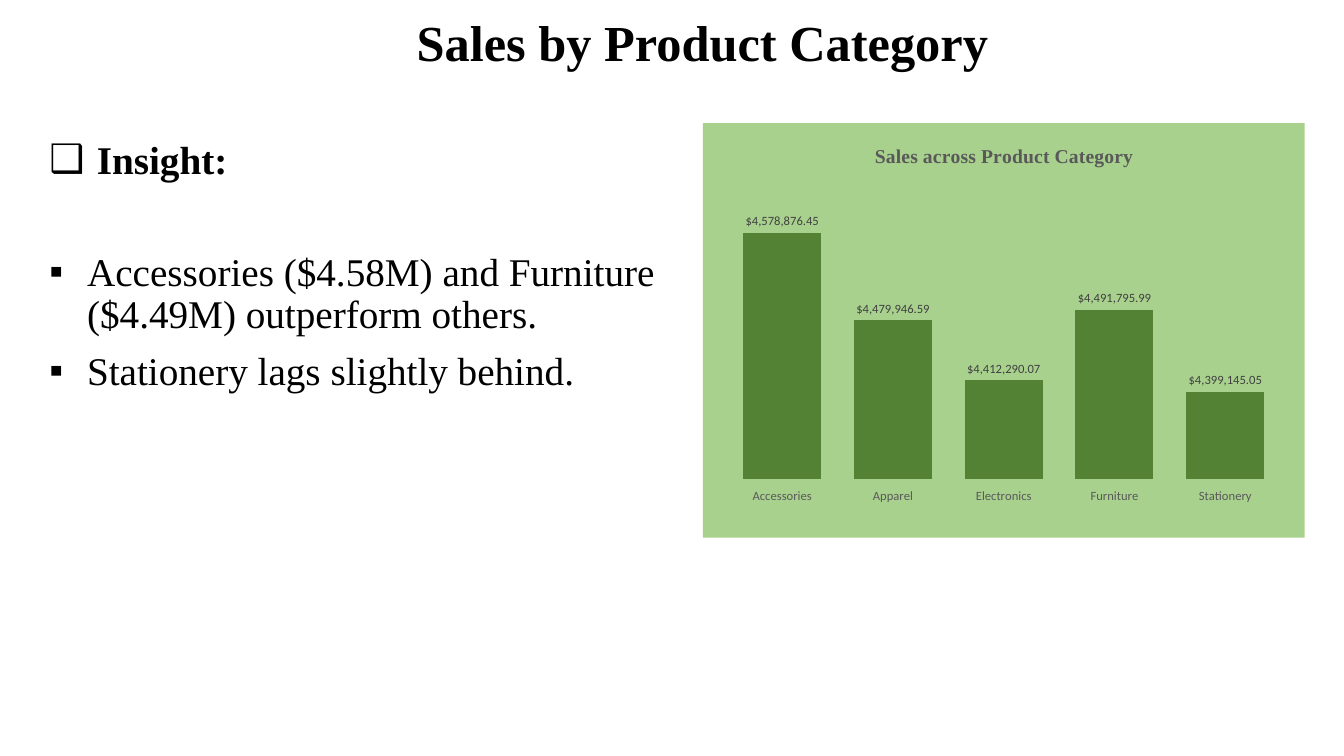
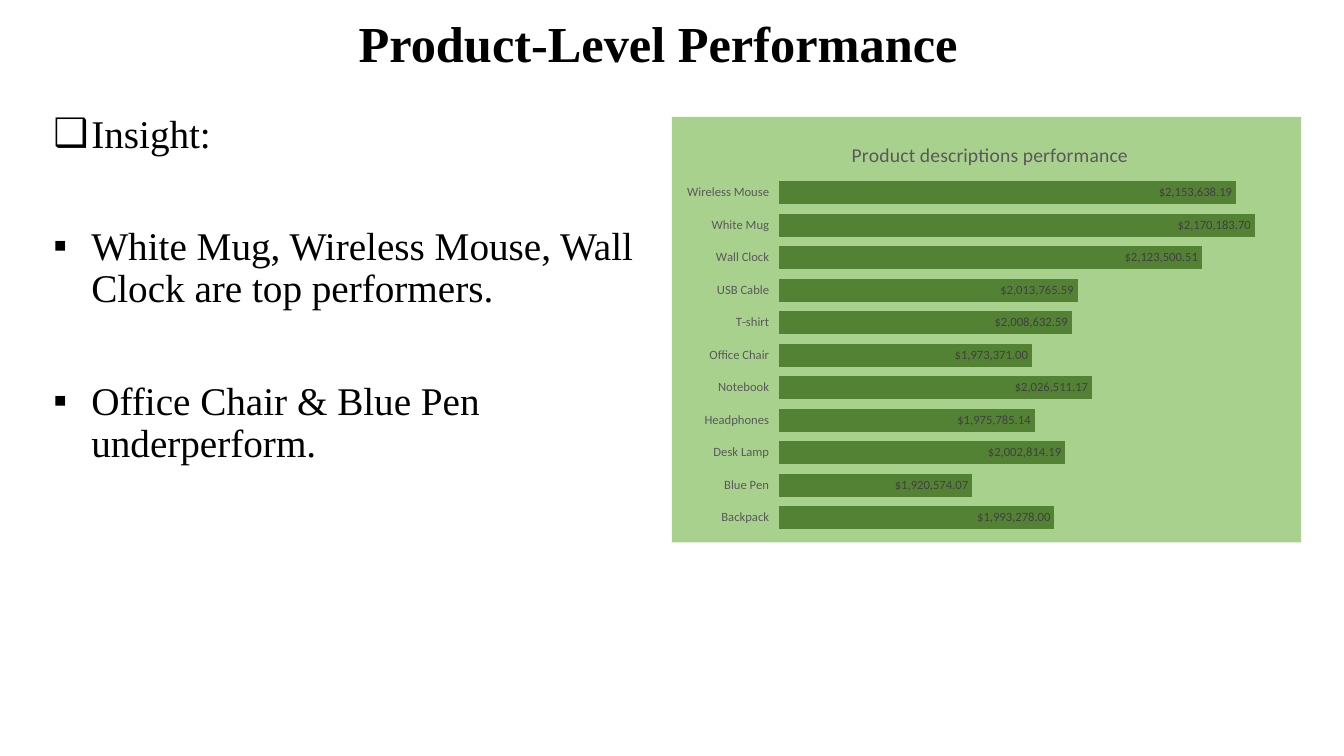
from dataclasses import dataclass

from lxml import etree
from pptx import Presentation
from pptx.chart.data import CategoryChartData
from pptx.dml.color import RGBColor
from pptx.enum.chart import XL_CHART_TYPE, XL_LABEL_POSITION, XL_TICK_MARK
from pptx.enum.text import MSO_ANCHOR, MSO_AUTO_SIZE, PP_ALIGN
from pptx.oxml import parse_xml
from pptx.oxml.ns import nsdecls, qn
from pptx.util import Pt

COLUMNS = XL_CHART_TYPE.COLUMN_CLUSTERED
BARS = XL_CHART_TYPE.BAR_CLUSTERED
OUTSIDE = XL_LABEL_POSITION.OUTSIDE_END
INSIDE = XL_LABEL_POSITION.INSIDE_END
TICK_OUT = XL_TICK_MARK.OUTSIDE
CENTER, LEFT = PP_ALIGN.CENTER, PP_ALIGN.LEFT
TOP, BOTTOM = MSO_ANCHOR.TOP, MSO_ANCHOR.BOTTOM
NO_FIT = MSO_AUTO_SIZE.NONE

HEADING_MARK, POINT_MARK = "❑", "▪"
DOLLARS = '"$"#,##0.00'


@dataclass(frozen=True)
class Theme:
    """Colours, fonts, type sizes and spacing shared by the slides."""

    ink: str = "000000"
    panel: str = "A9D18E"
    bar: str = "548235"
    muted: str = "595959"
    label: str = "404040"
    serif: str = "Times New Roman"
    sans: str = "Calibri"
    title_size: int = 36
    body_size: int = 28
    chart_title_size: int = 14
    chart_size: int = 10
    label_size: int = 9
    line_spacing: float = 0.9
    gap: int = 10
    wide_gap: int = 50
    indent: int = 27
    bar_gap: int = 42


def style_font(font, name, size, color, bold=False):
    """Apply a typeface, size, colour and weight."""
    font.name = name
    font.size = Pt(size)
    font.color.rgb = RGBColor.from_string(color)
    font.bold = bold


def set_layout(parent, inner=False, **fractions):
    """Place a chart part by fractions of the chart area."""
    layout = parent.find(qn("c:layout"))
    if layout is None:
        layout = etree.Element(qn("c:layout"))
        parent.insert(0, layout)
    manual = etree.SubElement(layout, qn("c:manualLayout"))
    settings = {"layoutTarget": "inner"} if inner else {}
    settings.update(xMode="edge", yMode="edge", **fractions)
    for name, value in settings.items():
        etree.SubElement(manual, qn(f"c:{name}")).set("val", str(value))


class InsightDeck:
    """Build slides that pair a list of insights with a chart."""

    def __init__(self, theme):
        """Start an empty widescreen deck."""
        self.theme = theme
        self.deck = Presentation()
        self.deck.slide_width, self.deck.slide_height = Pt(960), Pt(540)
        self.page = None

    def add_page(self):
        """Start a new slide."""
        self.page = self.deck.slides.add_slide(self.deck.slide_layouts[0])

    def place(self, box, frame, anchor):
        """Move a placeholder and return its text frame."""
        box.left, box.top, box.width, box.height = map(Pt, frame)
        text = box.text_frame
        text.word_wrap = True
        text.auto_size = NO_FIT
        text.vertical_anchor = anchor
        return text

    def style_paragraph(self, para, size, align, bold):
        """Format a paragraph and its runs."""
        para.alignment = align
        para.line_spacing = self.theme.line_spacing
        for span in para.runs:
            style_font(span.font, self.theme.serif, size, self.theme.ink, bold)

    def add_title(self, words, frame):
        """Fill the title placeholder."""
        text = self.place(self.page.shapes.title, frame, BOTTOM)
        text.text = words
        self.style_paragraph(text.paragraphs[0], self.theme.title_size, CENTER, True)

    def add_insights(self, items, frame):
        """Fill the body placeholder from (mark, words, space before, bold) rows."""
        text = self.place(self.page.placeholders[1], frame, TOP)
        text.text = "\n".join(words for _, words, _, _ in items)
        for para, (mark, _, space, bold) in zip(text.paragraphs, items):
            self.style_paragraph(para, self.theme.body_size, LEFT, bold)
            para.space_before = Pt(space)
            properties = para._p.get_or_add_pPr()
            properties.set("marL", str(Pt(self.theme.indent)))
            properties.set("indent", str(-Pt(self.theme.indent)))
            etree.SubElement(properties, qn("a:buChar")).set("char", mark)

    def add_sales_chart(self, kind, values, frame, scale, plot, label_position):
        """Add a one-series bar chart on a coloured panel and return it."""
        theme = self.theme
        data = CategoryChartData(number_format=DOLLARS)
        data.categories = list(values)
        data.add_series("Series 1", list(values.values()))
        chart = self.page.shapes.add_chart(kind, *map(Pt, frame), data).chart
        style_font(chart.font, theme.sans, theme.chart_size, theme.ink)
        chart.has_legend = False
        self.fill_panel(chart)

        amounts, names = chart.value_axis, chart.category_axis
        amounts.minimum_scale, amounts.maximum_scale = scale
        amounts.has_major_gridlines = False
        amounts.visible = False
        names.major_tick_mark = TICK_OUT
        names.format.line.fill.background()
        style_font(names.tick_labels.font, theme.sans, theme.label_size, theme.muted)

        bars = chart.plots[0]
        bars.gap_width = theme.bar_gap
        bars.vary_by_categories = False
        fill = bars.series[0].format.fill
        fill.solid()
        fill.fore_color.rgb = RGBColor.from_string(theme.bar)
        bars.has_data_labels = True
        labels = bars.data_labels
        labels.show_value = True
        labels.position = label_position
        labels.number_format = DOLLARS
        labels.number_format_is_linked = False
        style_font(labels.font, theme.sans, theme.label_size, theme.label)

        area = chart.element.find(qn("c:chart")).find(qn("c:plotArea"))
        set_layout(area, inner=True, **dict(zip("xywh", plot)))
        return chart

    def fill_panel(self, chart):
        """Colour the chart background."""
        panel = parse_xml(
            f'<c:spPr {nsdecls("c", "a")}><a:solidFill><a:srgbClr val="{self.theme.panel}"/>'
            "</a:solidFill><a:ln><a:noFill/></a:ln></c:spPr>"
        )
        chart.element.find(qn("c:chart")).addnext(panel)

    def add_chart_title(self, chart, words, font_name, corner, bold=False):
        """Give a chart its title at a corner given in fractions."""
        title = chart.chart_title
        title.text_frame.text = words
        span = title.text_frame.paragraphs[0].runs[0]
        style_font(span.font, font_name, self.theme.chart_title_size, self.theme.muted, bold)
        set_layout(title._element, **dict(zip("xy", corner)))


def add_category_page(deck):
    """Add the slide on product categories."""
    theme = deck.theme
    deck.add_page()
    deck.add_title("Sales by Product Category", (275, 3, 453.6, 52.5))
    deck.add_insights(
        [
            (HEADING_MARK, " Insight:", theme.gap, True),
            (POINT_MARK, "Accessories ($4.58M) and Furniture ($4.49M) outperform others.",
             theme.wide_gap, False),
            (POINT_MARK, "Stationery lags slightly behind.", theme.gap, False),
        ],
        (28, 96.5, 501, 245.5),
    )
    sales = {
        "Accessories": 4578876.45,
        "Apparel": 4479946.59,
        "Electronics": 4412290.07,
        "Furniture": 4491795.99,
        "Stationery": 4399145.05,
    }
    chart = deck.add_sales_chart(
        COLUMNS, sales, (502, 88, 430, 296), (4300000, 4600000),
        (0.04, 0.22, 0.92, 0.64), OUTSIDE,
    )
    chart.plots[0].overlap = -27
    deck.add_chart_title(
        chart, "Sales across Product Category", theme.serif, (0.28, 0.04), bold=True
    )


def add_product_page(deck):
    """Add the slide on single products."""
    theme = deck.theme
    deck.add_page()
    deck.add_title("Product-Level Performance", (216.7, 3.6, 507, 52.5))
    deck.add_insights(
        [
            (HEADING_MARK, "Insight:", theme.gap, False),
            (POINT_MARK, "White Mug, Wireless Mouse, Wall Clock are top performers.",
             theme.wide_gap, False),
            (POINT_MARK, "Office Chair & Blue Pen underperform.", theme.wide_gap, False),
        ],
        (31, 78, 475, 324),
    )
    sales = {
        "Backpack": 1993278,
        "Blue Pen": 1920574.07,
        "Desk Lamp": 2002814.19,
        "Headphones": 1975785.14,
        "Notebook": 2026511.17,
        "Office Chair": 1973371,
        "T-shirt": 2008632.59,
        "USB Cable": 2013765.59,
        "Wall Clock": 2123500.51,
        "White Mug": 2170183.7,
        "Wireless Mouse": 2153638.19,
    }
    chart = deck.add_sales_chart(
        BARS, sales, (480, 83.5, 449.5, 304), (1750000, 2200000),
        (0.17, 0.14, 0.81, 0.84), INSIDE,
    )
    deck.add_chart_title(
        chart, "Product descriptions performance", theme.sans, (0.28, 0.05)
    )


def main():
    """Build and save the deck."""
    deck = InsightDeck(Theme())
    add_category_page(deck)
    add_product_page(deck)
    deck.deck.save("out.pptx")


if __name__ == "__main__":
    main()
